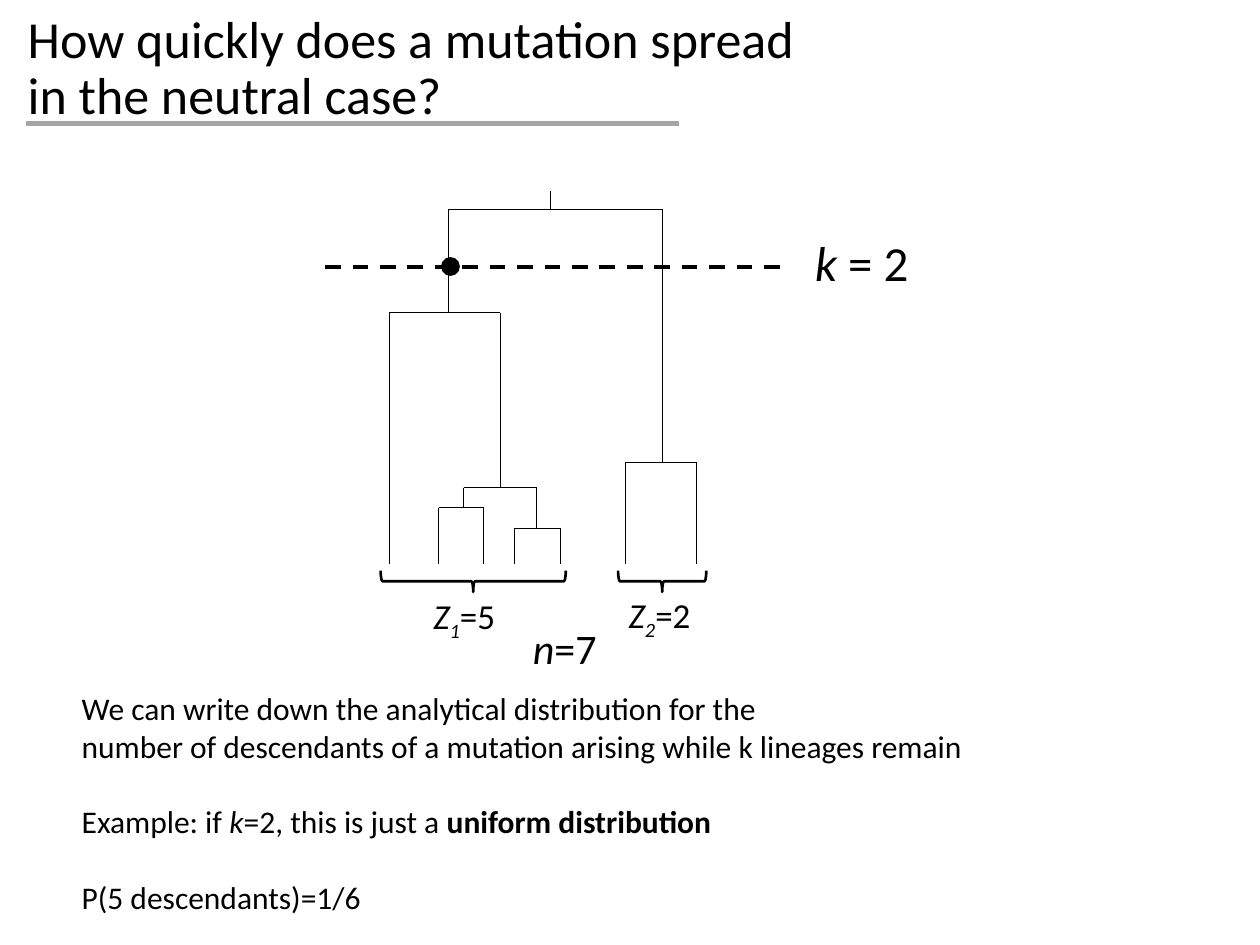
from lxml.etree import SubElement
from pptx import Presentation
from pptx.dml.color import RGBColor
from pptx.enum.dml import MSO_LINE as Dash
from pptx.enum.shapes import MSO_CONNECTOR as Connector, MSO_SHAPE as Shape
from pptx.enum.text import MSO_ANCHOR as Anchor, MSO_AUTO_SIZE as AutoSize, PP_ALIGN as Align
from pptx.oxml.ns import qn
from pptx.util import Pt

BLACK, GREY = "000000", "A6A6A6"
TIPS = 322.4  # height at which the lineages end

# Forks of the tree: left x, right x, bar y, left end y, right end y
FORKS = [
    (256.3, 378.7, 119.5, 178.8, 264),
    (222.5, 285.8, 178.8, TIPS, 278.6),
    (265, 306.7, 278.6, 290.2, 301.7),
    (250.6, 276.5, 290.2, TIPS, TIPS),
    (293.8, 320.4, 301.7, TIPS, TIPS),
    (357.3, 398.2, 264, TIPS, TIPS),
]


def color(hex_code):
    return RGBColor.from_string(hex_code)


def add_run(p, text, size=18, italic=False, bold=False, baseline=0):
    r = p.add_run()
    r.text = text
    font = r.font
    font.name, font.size = "Calibri", Pt(size)
    font.italic, font.bold = italic, bold
    font.color.rgb = color(BLACK)
    if baseline:
        r._r.get_or_add_rPr().set("baseline", str(baseline * 1000))


def add_line(slide, x1, y1, x2, y2, width=0.5, line_color=BLACK, dash=None):
    line = slide.shapes.add_connector(Connector.STRAIGHT, Pt(x1), Pt(y1), Pt(x2), Pt(y2))
    line.line.color.rgb = color(line_color)
    line.line.width = Pt(width)
    if dash:
        line.line.dash_style = dash
    SubElement(line._element.spPr, qn("a:effectLst"))


def add_fork(slide, left, right, bar, left_end, right_end):
    add_line(slide, left, bar, right, bar)
    add_line(slide, left, bar, left, left_end)
    add_line(slide, right, bar, right, right_end)


def add_dot(slide, x, y, size):
    dot = slide.shapes.add_shape(Shape.OVAL, Pt(x - size / 2), Pt(y - size / 2), Pt(size), Pt(size))
    dot.shadow.inherit = False
    dot.fill.solid()
    dot.fill.fore_color.rgb = color(BLACK)
    dot.line.fill.background()


def add_brace(slide, x, y, length, depth=12.2):
    """A brace centred on x, y that points down."""
    brace = slide.shapes.add_shape(
        Shape.RIGHT_BRACE, Pt(x - depth / 2), Pt(y - length / 2), Pt(depth), Pt(length))
    brace.rotation = 90
    brace.shadow.inherit = False
    brace.fill.background()
    brace.line.color.rgb = color(BLACK)
    brace.line.width = Pt(1.5)


def add_text(slide, left, top, width, height, paragraphs, size=18, wrap=False, gap=0):
    """Each paragraph is a list of (text, format) runs; gap separates the blocks."""
    tf = slide.shapes.add_textbox(Pt(left), Pt(top), Pt(width), Pt(height)).text_frame
    tf.word_wrap = wrap
    tf.auto_size = AutoSize.SHAPE_TO_FIT_TEXT
    for i, runs in enumerate(paragraphs):
        p = tf.add_paragraph() if i else tf.paragraphs[0]
        if i > 1:
            p.space_before = Pt(gap)
        for text, style in runs:
            add_run(p, text, size=size, **style)


def add_title(slide, lines):
    title = slide.shapes.title
    title.left, title.top, title.width, title.height = Pt(8.6), Pt(7.9), Pt(698.4), Pt(64)
    tf = title.text_frame
    tf.auto_size = AutoSize.NONE
    tf.vertical_anchor = Anchor.MIDDLE
    p = tf.paragraphs[0]
    p.alignment = Align.LEFT
    p.line_spacing = 0.9
    for i, text in enumerate(lines):
        if i:
            p.add_line_break()
        add_run(p, text, size=29.7)


def main():
    prs = Presentation()
    prs.slide_width, prs.slide_height = Pt(720), Pt(540)
    slide = prs.slides.add_slide(prs.slide_layouts[5])
    italic, plain = {"italic": True}, {}
    subscript = {"italic": True, "baseline": -25}

    # Title and its rule
    add_title(slide, ["How quickly does a mutation spread", "in the neutral case?"])
    add_line(slide, 15.1, 70.6, 388.1, 70.6, width=3, line_color=GREY)

    # Genealogy
    add_line(slide, 314.6, 109.4, 314.6, 119.5)
    for fork in FORKS:
        add_fork(slide, *fork)

    # Mutation arising while k lineages remain
    add_dot(slide, 257.4, 152.3, 10.8)
    add_line(slide, 185.8, 152.6, 452.2, 152.6, width=2.25, dash=Dash.DASH)
    add_text(slide, 458.6, 129.6, 69.1, 41, [[("k ", italic), ("= 2", plain)]], size=28)

    # Descendant counts
    add_brace(slide, 270.4, 332.2, 105.8)
    add_brace(slide, 378.4, 332.2, 50.4)
    for left, top, index, count in [(240.5, 336.2, "1", "=5"), (352.1, 335.5, "2", "=2")]:
        add_text(slide, left, top, 51.1, 31.7,
                 [[("Z", italic), (index, subscript), (count, plain)]], size=20)
    add_text(slide, 297.4, 352.1, 51.8, 36, [[("n", italic), ("=7", plain)]], size=24)

    # Explanation
    add_text(slide, 39.6, 390.2, 640.1, 138.2, [
        [("We can write down the analytical distribution for the", plain)],
        [("number of descendants of a mutation arising while k lineages remain", plain)],
        [("Example: if ", plain), ("k", italic), ("=2, this is just a ", plain),
         ("uniform distribution", {"bold": True})],
        [("P(5 descendants)=1/6", plain)],
    ], wrap=True, gap=21.6)

    prs.save("out.pptx")


if __name__ == "__main__":
    main()
